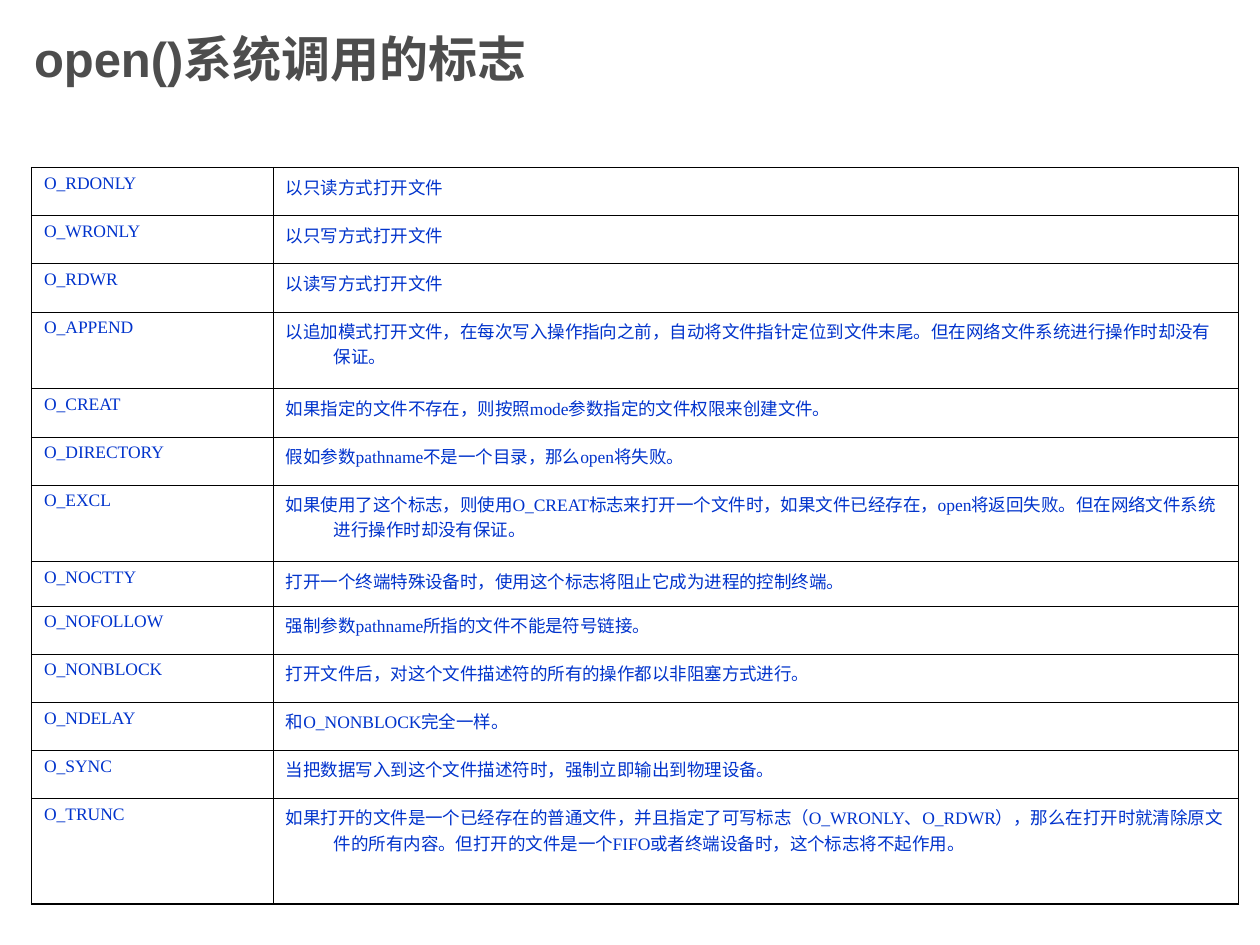
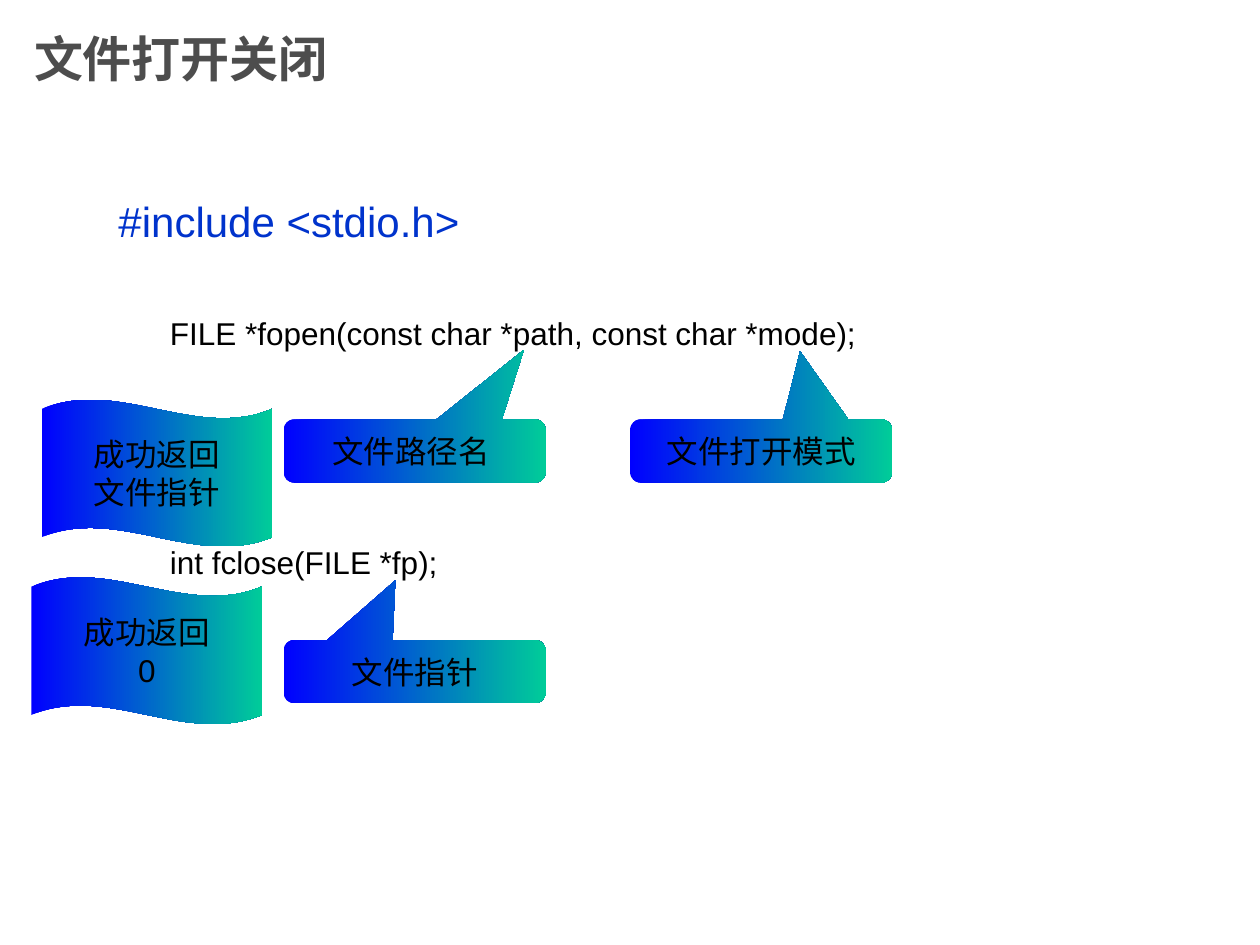
from lxml.etree import SubElement
from pptx import Presentation
from pptx.dml.color import RGBColor
from pptx.enum.shapes import MSO_SHAPE
from pptx.enum.text import MSO_ANCHOR, PP_ALIGN
from pptx.oxml.ns import qn
from pptx.util import Inches, Pt

# Shared look
GREY = RGBColor(0x4D, 0x4D, 0x4D)
BLUE = RGBColor(0x00, 0x33, 0xCC)
BLACK = RGBColor(0x00, 0x00, 0x00)
GRADIENT = (RGBColor(0x00, 0x00, 0xFF), RGBColor(0x00, 0xCC, 0x99))
THIN, THICK = Pt(0.45), Pt(0.96)

# Slide 1: flag and meaning
FLAGS_TITLE = "open()系统调用的标志"
FLAGS = [
    ("O_RDONLY", "以只读方式打开文件"),
    ("O_WRONLY", "以只写方式打开文件"),
    ("O_RDWR", "以读写方式打开文件"),
    ("O_APPEND", "以追加模式打开文件，在每次写入操作指向之前，自动将文件指针定位到文件末尾。"
                 "但在网络文件系统进行操作时却没有保证。"),
    ("O_CREAT", "如果指定的文件不存在，则按照mode参数指定的文件权限来创建文件。"),
    ("O_DIRECTORY", "假如参数pathname不是一个目录，那么open将失败。"),
    ("O_EXCL", "如果使用了这个标志，则使用O_CREAT标志来打开一个文件时，如果文件已经存在，"
               "open将返回失败。但在网络文件系统进行操作时却没有保证。"),
    ("O_NOCTTY", "打开一个终端特殊设备时，使用这个标志将阻止它成为进程的控制终端。"),
    ("O_NOFOLLOW", "强制参数pathname所指的文件不能是符号链接。"),
    ("O_NONBLOCK", "打开文件后，对这个文件描述符的所有的操作都以非阻塞方式进行。"),
    ("O_NDELAY", "和O_NONBLOCK完全一样。"),
    ("O_SYNC", "当把数据写入到这个文件描述符时，强制立即输出到物理设备。"),
    ("O_TRUNC", "如果打开的文件是一个已经存在的普通文件，并且指定了可写标志（O_WRONLY、O_RDWR），"
                "那么在打开时就清除原文件的所有内容。但打开的文件是一个FIFO或者终端设备时，"
                "这个标志将不起作用。"),
]
COLUMN_WIDTHS = (1.92, 7.66)
TABLE_HEIGHT = 5.85
SPECIAL_HEIGHTS = {"O_APPEND": 0.61, "O_EXCL": 0.61, "O_NOCTTY": 0.35, "O_TRUNC": 0.84}

# Slide 2: code lines (text, size, colour, space before, margin, hanging indent)
FILES_TITLE = "文件打开关闭"
CODE_LINES = [
    (" #include <stdio.h>", 24, BLUE, 0, 0.38, 0.38),
    ("FILE *fopen(const char *path, const char *mode);", 18, BLACK, 39, 0.81, 0.31),
    ("int fclose(FILE *fp);", 18, BLACK, 109.5, 0.81, 0.31),
]
# Callouts: text, left, top, tip offset from the centre
CALLOUTS = [
    ("文件路径名 ", 2.25, 3.33, (0.417, -1.604)),
    ("文件打开模式", 5, 3.33, (0.149, -1.583)),
    ("文件指针", 2.25, 5.08, (-0.073, -1.448)),
]
# Return values: lines, left, top
RETURN_WAVES = [
    (("成功返回", "0"), 0.25, 4.58),
    (("成功返回", "文件指针"), 0.33, 3.17),
]


def add_run(paragraph, text, size, color, font="Arial", bold=False):
    run = paragraph.add_run()
    run.text = text
    run.font.name = font
    run.font.size = Pt(size)
    run.font.bold = bold
    run.font.color.rgb = color


def set_hanging_indent(paragraph, margin, hanging):
    properties = paragraph._p.get_or_add_pPr()
    properties.set("marL", str(Inches(margin)))
    properties.set("indent", str(-Inches(hanging)))


def add_titled_slide(presentation, text):
    slide = presentation.slides.add_slide(presentation.slide_layouts[5])
    title = slide.shapes.title
    title.left, title.top = Inches(0.17), Inches(0)
    title.width, title.height = Inches(7.5), Inches(0.92)
    title.text_frame.vertical_anchor = MSO_ANCHOR.MIDDLE
    paragraph = title.text_frame.paragraphs[0]
    paragraph.alignment = PP_ALIGN.LEFT
    add_run(paragraph, text, 28, GREY, bold=True)
    return slide


def set_borders(cell, widths):
    properties = cell._tc.get_or_add_tcPr()
    for index, (side, width) in enumerate(widths.items()):
        line = properties.makeelement(qn(f"a:{side}"), {"w": str(width)})
        fill = SubElement(line, qn("a:solidFill"))
        SubElement(fill, qn("a:srgbClr"), val=str(BLACK))
        properties.insert(index, line)


def add_flag_table(slide):
    # Rows without a special height share what is left equally
    plain_height = ((TABLE_HEIGHT - sum(SPECIAL_HEIGHTS.values()))
                    / (len(FLAGS) - len(SPECIAL_HEIGHTS)))
    table = slide.shapes.add_table(
        len(FLAGS), 2, Inches(0.25), Inches(1.33),
        Inches(sum(COLUMN_WIDTHS)), Inches(TABLE_HEIGHT)).table
    table.first_row = table.horz_banding = False
    for column, width in zip(table.columns, COLUMN_WIDTHS):
        column.width = Inches(width)
    last_row = len(FLAGS) - 1
    for row, texts in enumerate(FLAGS):
        table.rows[row].height = Inches(SPECIAL_HEIGHTS.get(texts[0], plain_height))
        for column, text in enumerate(texts):
            cell = table.cell(row, column)
            cell.fill.background()
            set_borders(cell, {
                "lnL": THICK if column == 0 else THIN,
                "lnR": THICK if column == 1 else THIN,
                "lnT": THICK if row == 0 else THIN,
                "lnB": THICK if row == last_row else THIN,
            })
            paragraph = cell.text_frame.paragraphs[0]
            set_hanging_indent(paragraph, 0.38, 0.38)
            add_run(paragraph, text, 10, BLUE, "Times New Roman")


def add_code(slide):
    box = slide.shapes.add_textbox(Inches(0.75), Inches(1.5), Inches(8.5), Inches(5.17))
    frame = box.text_frame
    frame.word_wrap = True
    for index, (text, size, color, before, margin, hanging) in enumerate(CODE_LINES):
        paragraph = frame.add_paragraph() if index else frame.paragraphs[0]
        paragraph.space_before = Pt(before)
        set_hanging_indent(paragraph, margin, hanging)
        add_run(paragraph, text, size, color)


def add_label(slide, kind, lines, left, top, width, height, adjustments, wrap):
    shape = slide.shapes.add_shape(
        kind, Inches(left), Inches(top), Inches(width), Inches(height))
    for index, value in enumerate(adjustments):
        shape.adjustments[index] = value
    shape.shadow.inherit = False
    shape.line.fill.background()
    shape.fill.gradient()
    shape.fill.gradient_angle = 0
    for stop, color in zip(shape.fill.gradient_stops, GRADIENT):
        stop.color.rgb = color
    frame = shape.text_frame
    frame.word_wrap = wrap
    frame.vertical_anchor = MSO_ANCHOR.MIDDLE
    for index, text in enumerate(lines):
        paragraph = frame.add_paragraph() if index else frame.paragraphs[0]
        paragraph.alignment = PP_ALIGN.CENTER
        add_run(paragraph, text, 18, BLACK)


def main():
    presentation = Presentation()
    presentation.slide_width, presentation.slide_height = Inches(10), Inches(7.5)

    # Flag table
    add_flag_table(add_titled_slide(presentation, FLAGS_TITLE))

    # Opening and closing files
    slide = add_titled_slide(presentation, FILES_TITLE)
    add_code(slide)
    for text, left, top, tip in CALLOUTS:
        add_label(slide, MSO_SHAPE.ROUNDED_RECTANGULAR_CALLOUT, [text],
                  left, top, 2.08, 0.5, (*tip, 0.167), True)
    for lines, left, top in RETURN_WAVES:
        add_label(slide, MSO_SHAPE.WAVE, lines, left, top, 1.83, 1.17, (0.065, 0), False)

    presentation.save("out.pptx")


if __name__ == "__main__":
    main()
